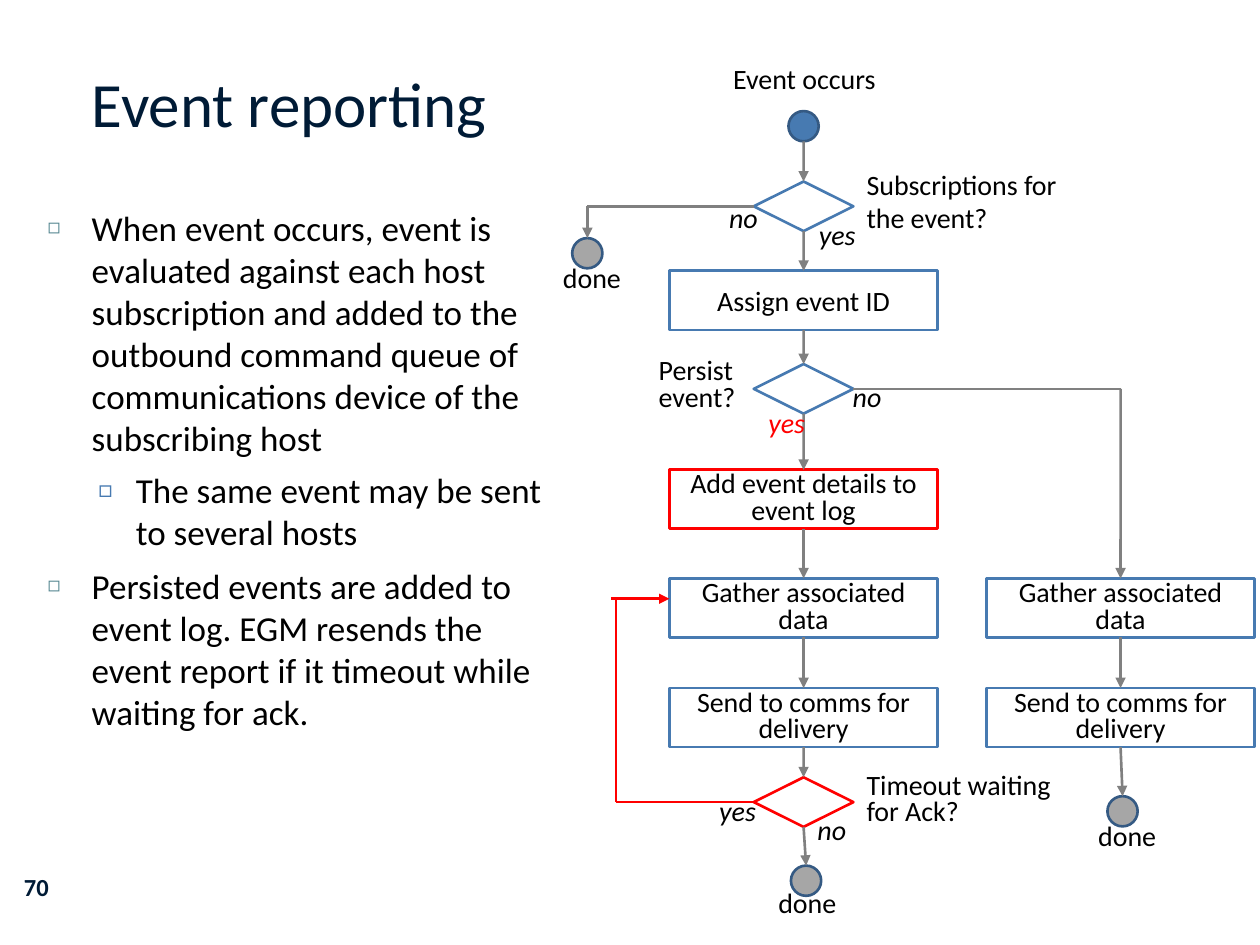
import pptx
import pptx.util
import pptx.dml.color
import pptx.enum.shapes
import pptx.enum.text
import pptx.oxml.ns
from lxml import etree

Cm = pptx.util.Cm
Pt = pptx.util.Pt
RGBColor = pptx.dml.color.RGBColor
Shape = pptx.enum.shapes.MSO_SHAPE
Align = pptx.enum.text.PP_ALIGN
Anchor = pptx.enum.text.MSO_ANCHOR
qn = pptx.oxml.ns.qn

FONT = "Calibri"
NAVY = RGBColor(0x00, 0x1B, 0x36)
BLUE = RGBColor(0x47, 0x7A, 0xB1)
DARK_BLUE = RGBColor(0x35, 0x5A, 0x83)
TEAL = RGBColor(0x51, 0x84, 0x8E)
RED = RGBColor(0xFF, 0x00, 0x00)
GRAY = RGBColor(0x80, 0x80, 0x80)
LIGHT_GRAY = RGBColor(0xA6, 0xA6, 0xA6)
BLACK = RGBColor(0x00, 0x00, 0x00)
WHITE = RGBColor(0xFF, 0xFF, 0xFF)

MAIN_X, RIGHT_X, LEFT_X, LOOP_X = 16.2, 22.59, 11.84, 12.42
BOX_WIDTH, BOX_HEIGHT = 5.41, 1.19
DIAMOND_WIDTH, DIAMOND_HEIGHT = 2.01, 1.0
DOT_SIZE = 0.61
GATHER_TOP, SEND_TOP = 11.66, 13.87
TOP, LEFT, BOTTOM, RIGHT = range(4)


def add_run(para, text, size, color, bold=False, italic=False):
    span = para.add_run()
    span.text = text
    font = span.font
    font.name, font.size = FONT, Pt(size)
    font.bold, font.italic = bold, italic
    font.color.rgb = color


def add_text(slide, left, top, width, height, text, size=16, color=BLACK,
             bold=False, italic=False, spacing=None):
    box = slide.shapes.add_textbox(Cm(left), Cm(top), Cm(width), Cm(height))
    box.text_frame.word_wrap = True
    para = box.text_frame.paragraphs[0]
    para.line_spacing = spacing
    add_run(para, text, size, color, bold, italic)
    return box


def add_node(slide, kind, center, top, width, height, fill, outline):
    node = slide.shapes.add_shape(
        kind, Cm(center - width / 2), Cm(top), Cm(width), Cm(height))
    node.shadow.inherit = False
    node.fill.solid()
    node.fill.fore_color.rgb = fill
    node.line.color.rgb = outline
    node.line.width = Pt(1.5)
    return node


def add_process(slide, center, top, text, outline=BLUE, spacing=0.8):
    node = add_node(slide, Shape.FLOWCHART_PROCESS, center, top,
                    BOX_WIDTH, BOX_HEIGHT, WHITE, outline)
    node.text_frame.word_wrap = True
    node.text_frame.vertical_anchor = Anchor.MIDDLE
    para = node.text_frame.paragraphs[0]
    para.alignment = Align.CENTER
    para.line_spacing = spacing
    add_run(para, text, 16, BLACK)
    return node


def add_decision(slide, top, outline=BLUE):
    return add_node(slide, Shape.FLOWCHART_DECISION, MAIN_X, top,
                    DIAMOND_WIDTH, DIAMOND_HEIGHT, WHITE, outline)


def add_dot(slide, center, top, fill=LIGHT_GRAY):
    return add_node(slide, Shape.OVAL, center, top,
                    DOT_SIZE, DOT_SIZE, fill, DARK_BLUE)


def add_line(slide, start=(0, 0), finish=(0, 0), color=GRAY, arrow=True):
    line = slide.shapes.add_connector(
        pptx.enum.shapes.MSO_CONNECTOR.STRAIGHT,
        Cm(start[0]), Cm(start[1]), Cm(finish[0]), Cm(finish[1]))
    line.line.color.rgb = color
    line.line.width = Pt(1.5)
    if arrow:
        etree.SubElement(line.line._get_or_add_ln(), qn("a:tailEnd"), type="triangle")
    etree.SubElement(line._element.spPr, qn("a:effectLst"))
    return line


def join_down(slide, upper, lower):
    line = add_line(slide)
    line.begin_connect(upper, BOTTOM)
    line.end_connect(lower, TOP)


def add_bullet(para, text, level, margin, indent, before, mark, color, scale):
    para.level = level
    props = para._p.get_or_add_pPr()
    props.set("marL", str(Cm(margin)))
    props.set("indent", str(Cm(-indent)))
    para.space_before = Pt(before)
    bullet_color = etree.SubElement(props, qn("a:buClr"))
    etree.SubElement(bullet_color, qn("a:srgbClr"), val=str(color))
    etree.SubElement(props, qn("a:buSzPct"), val=str(scale * 1000))
    etree.SubElement(props, qn("a:buFont"), typeface=FONT)
    etree.SubElement(props, qn("a:buChar"), char=mark)
    add_run(para, text, 20, BLACK)


def add_bullets(slide):
    box = slide.shapes.add_textbox(Cm(0.71), Cm(4.04), Cm(10.69), Cm(12.5))
    frame = box.text_frame
    frame.word_wrap = True
    main_style = (0, 0.89, 0.89, 7, "◻", TEAL, 60)
    sub_style = (1, 1.78, 0.76, 5.5, "□", BLUE, 70)
    items = [
        ("When event occurs, event is evaluated against each host subscription "
         "and added to the outbound command queue of communications device of "
         "the subscribing host", main_style),
        ("The same event may be sent to several hosts", sub_style),
        ("Persisted events are added to event log. EGM resends the event report "
         "if it timeout while waiting for ack.", main_style),
    ]
    for index, (text, style) in enumerate(items):
        para = frame.add_paragraph() if index else frame.paragraphs[0]
        add_bullet(para, text, *style)
    frame.paragraphs[0].space_before = Pt(0)


def add_flow(slide):
    start = add_dot(slide, MAIN_X, 2.24, BLUE)
    subscribed = add_decision(slide, 3.66)
    assign = add_process(slide, MAIN_X, 5.46, "Assign event ID", spacing=None)
    persist = add_decision(slide, 7.34)
    log = add_process(slide, MAIN_X, 9.47, "Add event details to event log", RED)
    gather, gather_right = [
        add_process(slide, center, GATHER_TOP, "Gather associated data")
        for center in (MAIN_X, RIGHT_X)]
    send, send_right = [
        add_process(slide, center, SEND_TOP, "Send to comms for delivery")
        for center in (MAIN_X, RIGHT_X)]
    timeout = add_decision(slide, 15.67, RED)
    done_left = add_dot(slide, LEFT_X, 4.8)
    done_main = add_dot(slide, MAIN_X + 0.05, 17.45)
    done_right = add_dot(slide, RIGHT_X + 0.04, 16.05)

    add_line(slide, (MAIN_X, 2.24 + DOT_SIZE)).end_connect(subscribed, TOP)
    main_steps = [subscribed, assign, persist, log, gather, send, timeout, done_main]
    right_steps = [gather_right, send_right, done_right]
    for steps in (main_steps, right_steps):
        for upper, lower in zip(steps, steps[1:]):
            join_down(slide, upper, lower)

    branches = [
        (subscribed, LEFT, (LEFT_X, 4.16), done_left, GRAY),
        (persist, RIGHT, (RIGHT_X, 7.84), gather_right, GRAY),
    ]
    for decision, side, corner, target, color in branches:
        add_line(slide, finish=corner, color=color, arrow=False).begin_connect(decision, side)
        add_line(slide, corner, color=color).end_connect(target, TOP)

    loop_bottom, loop_top = (LOOP_X, 16.17), (LOOP_X, 12.07)
    add_line(slide, finish=loop_bottom, color=RED, arrow=False).begin_connect(timeout, LEFT)
    add_line(slide, loop_bottom, loop_top, RED, False)
    add_line(slide, (LOOP_X - 0.1, 12.07), (MAIN_X - BOX_WIDTH / 2, 12.07), RED)


def add_labels(slide):
    add_text(slide, 14.53, 1.12, 4.6, 0.94, "Event occurs")
    add_text(slide, 17.22, 3.25, 4.6, 1.63, "Subscriptions for the event?")
    add_text(slide, 13.03, 7.11, 2.08, 1.37, "Persist event?", spacing=0.8)
    add_text(slide, 17.22, 15.47, 4.6, 1.37, "Timeout waiting for Ack?", spacing=0.8)
    for left, top in ((11.1, 5.13), (21.89, 16.38), (15.44, 17.73)):
        add_text(slide, left, top, 1.73, 0.94, "done")
    answers = [
        ("yes", 15.24, 8.05, RED), ("yes", 14.25, 15.88, BLACK),
        ("yes", 16.26, 4.27, BLACK), ("no", 14.45, 3.91, BLACK),
        ("no", 16.94, 7.52, BLACK), ("no", 16.23, 16.26, BLACK),
    ]
    for text, left, top, color in answers:
        add_text(slide, left, top, 1.37, 0.94, text, color=color, italic=True)


def main():
    deck = pptx.Presentation()
    deck.slide_width, deck.slide_height = Cm(25.4), Cm(19.05)
    slide = deck.slides.add_slide(deck.slide_layouts[6])
    add_text(slide, 1.6, 1.17, 9.7, 2.74, "Event reporting", 36, NAVY)
    add_bullets(slide)
    add_flow(slide)
    add_labels(slide)
    number = add_text(slide, 0, 17.35, 1.47, 1.07, "70", 14, NAVY, bold=True)
    number.text_frame.vertical_anchor = Anchor.MIDDLE
    number.text_frame.paragraphs[0].alignment = Align.CENTER
    deck.save("out.pptx")


if __name__ == "__main__":
    main()
